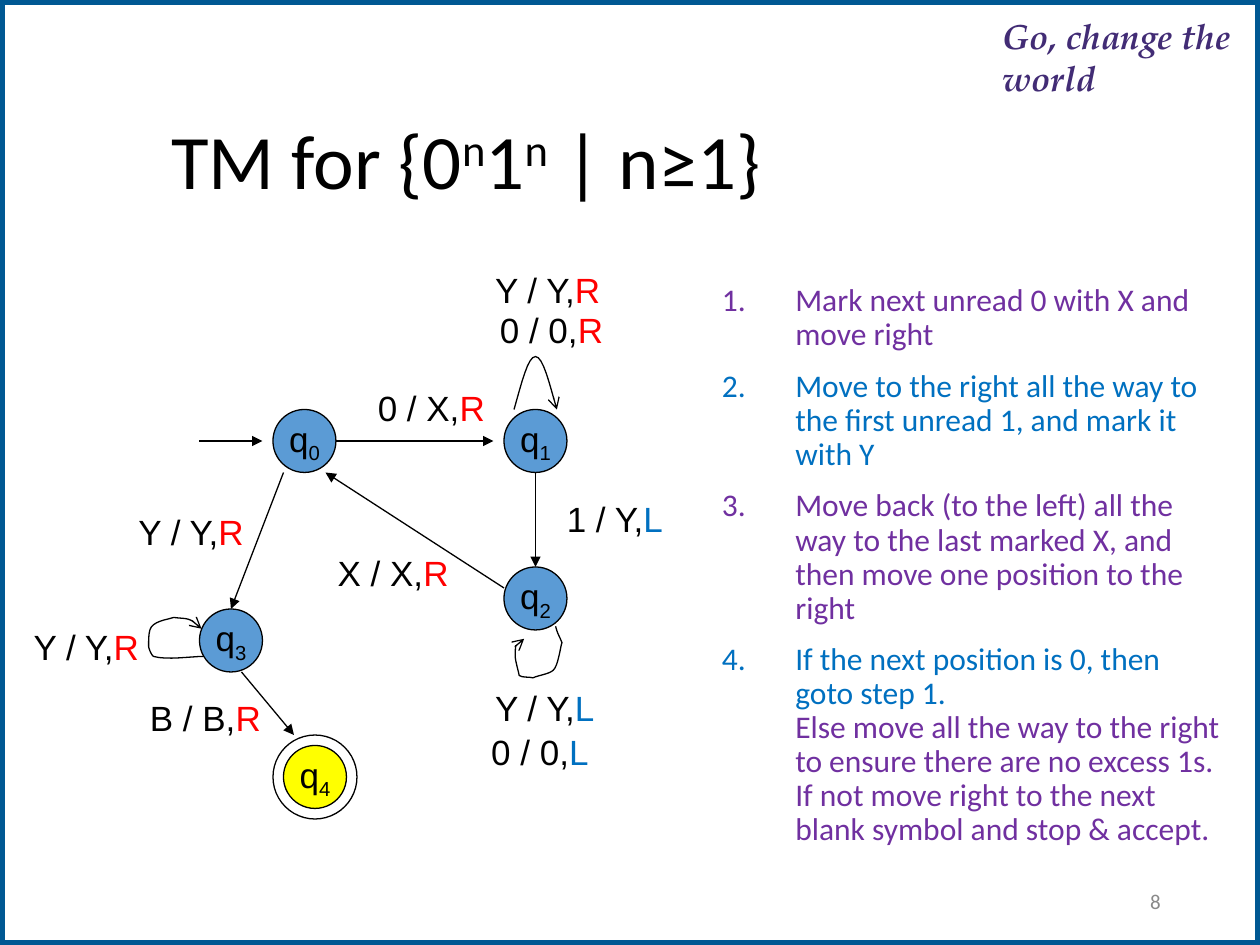
from lxml.etree import SubElement
from pptx import Presentation
from pptx.dml.color import RGBColor
from pptx.enum.shapes import MSO_CONNECTOR, MSO_SHAPE
from pptx.enum.text import MSO_ANCHOR, PP_ALIGN
from pptx.oxml.ns import qn
from pptx.util import Pt

BLACK = RGBColor(0x00, 0x00, 0x00)
WHITE = RGBColor(0xFF, 0xFF, 0xFF)
FRAME = RGBColor(0x00, 0x58, 0x93)
MOTTO = RGBColor(0x42, 0x2C, 0x75)
GREY = RGBColor(0x89, 0x89, 0x89)
PURPLE = RGBColor(0x70, 0x30, 0xA0)
BLUE = RGBColor(0x00, 0x70, 0xC0)
RED = RGBColor(0xFF, 0x00, 0x00)
STATE = RGBColor(0x5B, 0x9B, 0xD5)
YELLOW = RGBColor(0xFF, 0xFF, 0x00)


def add_span(para, text, size, font, color, baseline=0):
    span = para.add_run()
    span.text = text
    span.font.size = Pt(size)
    span.font.name = font
    span.font.color.rgb = color
    if baseline:
        span.font._element.set("baseline", str(baseline * 1000))
    return span


def set_outline(shape, color=BLACK, width=0.75, arrow=None):
    shape.line.color.rgb = color
    shape.line.width = Pt(width)
    properties = shape._element.spPr
    if arrow:
        SubElement(properties.find(qn("a:ln")), qn("a:tailEnd"), type=arrow)
    SubElement(properties, qn("a:effectLst"))


deck = Presentation()
deck.slide_width, deck.slide_height = Pt(720), Pt(540)
page = deck.slides.add_slide(deck.slide_layouts[6])
shapes = page.shapes

frame = shapes.add_shape(MSO_SHAPE.RECTANGLE, 0, 0, Pt(720), Pt(540))
frame.fill.solid()
frame.fill.fore_color.rgb = WHITE
set_outline(frame, FRAME, 6)

motto = shapes.add_textbox(Pt(571.7), Pt(7.2), Pt(147.6), Pt(44.6)).text_frame
motto.word_wrap = True
motto.margin_left = Pt(1)
motto.margin_right = motto.margin_bottom = 0
motto.margin_top = Pt(0.9)
para = motto.paragraphs[0]
para.space_before = Pt(1)
span = add_span(para, "Go, change the world", 20, "TeX Gyre Pagella", MOTTO)
span.font.bold = span.font.italic = True

title = shapes.add_textbox(Pt(90.7), Pt(49), Pt(613.4), Pt(90)).text_frame
title.word_wrap = True
title.vertical_anchor = MSO_ANCHOR.MIDDLE
para = title.paragraphs[0]
para.line_spacing = 0.9
for text, baseline in [("TM for {0", 0), ("n", 30), ("1", 0), ("n", 30), (" | n≥1}", 0)]:
    add_span(para, text, 44, "Calibri", BLACK, baseline)

STEPS = [
    [("Mark next unread 0 with X and move right", PURPLE)],
    [("Move to the right all the way to the first unread 1, and mark it with Y", BLUE)],
    [("Move back (to the left) all the way to the last marked X, "
      "and then move one position to the right", PURPLE)],
    [("If the next position is 0, then goto step 1.", BLUE),
     ("Else move all the way to the right to ensure there are no excess 1s. "
      "If not move right to the next blank symbol and stop & accept.", PURPLE)],
]
steps = shapes.add_textbox(Pt(405.4), Pt(159.1), Pt(300.2), Pt(324)).text_frame
steps.word_wrap = True
for number, parts in enumerate(STEPS):
    para = steps.add_paragraph() if number else steps.paragraphs[0]
    para.line_spacing = 0.9
    para.space_before = Pt(10)
    properties = para._p.get_or_add_pPr()
    properties.set("marL", str(Pt(42)))
    properties.set("indent", str(-Pt(42)))
    SubElement(properties, qn("a:buFont"), typeface="+mj-lt")
    SubElement(properties, qn("a:buAutoNum"), type="arabicPeriod")
    for index, (text, color) in enumerate(parts):
        if index:
            para.add_line_break()
        add_span(para, text, 18, "Calibri", color)

footer = shapes.add_textbox(Pt(508.3), Pt(500.4), Pt(162), Pt(28.8)).text_frame
footer.word_wrap = True
footer.vertical_anchor = MSO_ANCHOR.MIDDLE
para = footer.paragraphs[0]
para.alignment = PP_ALIGN.RIGHT
add_span(para, "8", 12, "Calibri", GREY)

ARROWS = [
    (192, 252, 282, 252), (114, 252, 150, 252), (306, 270, 306, 324),
    (288, 336, 186, 270), (162, 270, 132, 348), (138, 384, 168, 420),
]
for ends in ARROWS:
    arrow = shapes.add_connector(MSO_CONNECTOR.STRAIGHT, *[Pt(end) for end in ends])
    set_outline(arrow, arrow="triangle")

STATES = [
    ("0", 156, 234, STATE), ("1", 288, 234, STATE), ("2", 288, 324, STATE),
    ("3", 114, 348, STATE), ("4", 162, 426, YELLOW),
]
for name, left, top, color in STATES:
    state = shapes.add_shape(MSO_SHAPE.OVAL, Pt(left), Pt(top), Pt(36), Pt(36))
    state.fill.solid()
    state.fill.fore_color.rgb = color
    set_outline(state)
    state.text_frame.word_wrap = False
    state.text_frame.vertical_anchor = MSO_ANCHOR.MIDDLE
    para = state.text_frame.paragraphs[0]
    para.alignment = PP_ALIGN.CENTER
    add_span(para, "q", 20, "Arial", BLACK)
    add_span(para, name, 20, "Arial", BLACK, -25)

accept_ring = shapes.add_shape(MSO_SHAPE.OVAL, Pt(156), Pt(420), Pt(48), Pt(48))
accept_ring.fill.background()
set_outline(accept_ring)

LOOPS = [
    [(4.08, 3.25), (4.14, 3.04), (4.19, 2.83), (4.25, 2.83),
     (4.31, 2.83), (4.36, 3.04), (4.42, 3.25)],
    [(4.41, 4.97), (4.42, 5.02), (4.44, 5.05), (4.46, 5.1),
     (4.45, 5.12), (4.43, 5.29), (4.39, 5.32), (4.36, 5.35), (4.27, 5.36), (4.23, 5.38),
     (4.19, 5.37), (4.15, 5.38), (4.12, 5.36), (4.12, 5.35), (4.09, 5.24), (4.09, 5.22),
     (4.09, 5.15), (4.08, 5.07), (4.16, 5.07)],
    [(1.61, 5.21), (1.52, 5.21), (1.32, 5.24), (1.22, 5.21),
     (1.2, 5.2), (1.18, 5.14), (1.18, 5.13), (1.18, 5.08), (1.18, 5.04), (1.19, 5),
     (1.21, 4.93), (1.32, 4.92), (1.38, 4.9), (1.43, 4.91), (1.48, 4.9), (1.53, 4.93),
     (1.54, 4.94), (1.54, 4.96), (1.56, 4.97), (1.57, 4.98), (1.6, 4.99), (1.6, 4.99)],
]
SAMPLES = 8
for knots in LOOPS:
    points = []
    for first in range(0, len(knots) - 1, 3):
        for sample in range(1, SAMPLES + 1):
            t = sample / SAMPLES
            weights = [(1 - t) ** 3, 3 * t * (1 - t) ** 2, 3 * t ** 2 * (1 - t), t ** 3]
            points.append(tuple(
                Pt(72 * sum(weight * knot[axis]
                            for weight, knot in zip(weights, knots[first:first + 4])))
                for axis in (0, 1)))
    start_x, start_y = knots[0]
    outline = shapes.build_freeform(Pt(72 * start_x), Pt(72 * start_y))
    outline.add_line_segments(points, close=False)
    loop = outline.convert_to_shape()
    loop.fill.background()
    set_outline(loop, arrow="arrow")

MOVES = {"R": RED, "L": BLUE}
LABELS = [
    ("0 / X,", "R", 208.8, 217.4, 77), ("0 / 0,", "R", 278.6, 172.8, 75),
    ("1 / Y,", "L", 316.8, 280.8, 74), ("Y / Y,", "L", 275.8, 388.8, 75),
    ("0 / 0,", "L", 273.6, 414, 74), ("X / X,", "R", 185.8, 311.8, 79),
    ("Y / Y,", "R", 72, 288, 78), ("Y / Y,", "R", 12.2, 353.8, 78),
    ("B / B,", "R", 78.5, 394.6, 79), ("Y / Y,", "R", 275.8, 149.8, 77),
]
for symbols, move, left, top, width in LABELS:
    label = shapes.add_textbox(Pt(left), Pt(top), Pt(width), Pt(31)).text_frame
    label.word_wrap = False
    para = label.paragraphs[0]
    add_span(para, symbols, 20, "Arial", BLACK)
    add_span(para, move, 20, "Arial", MOVES[move])

deck.save("out.pptx")
